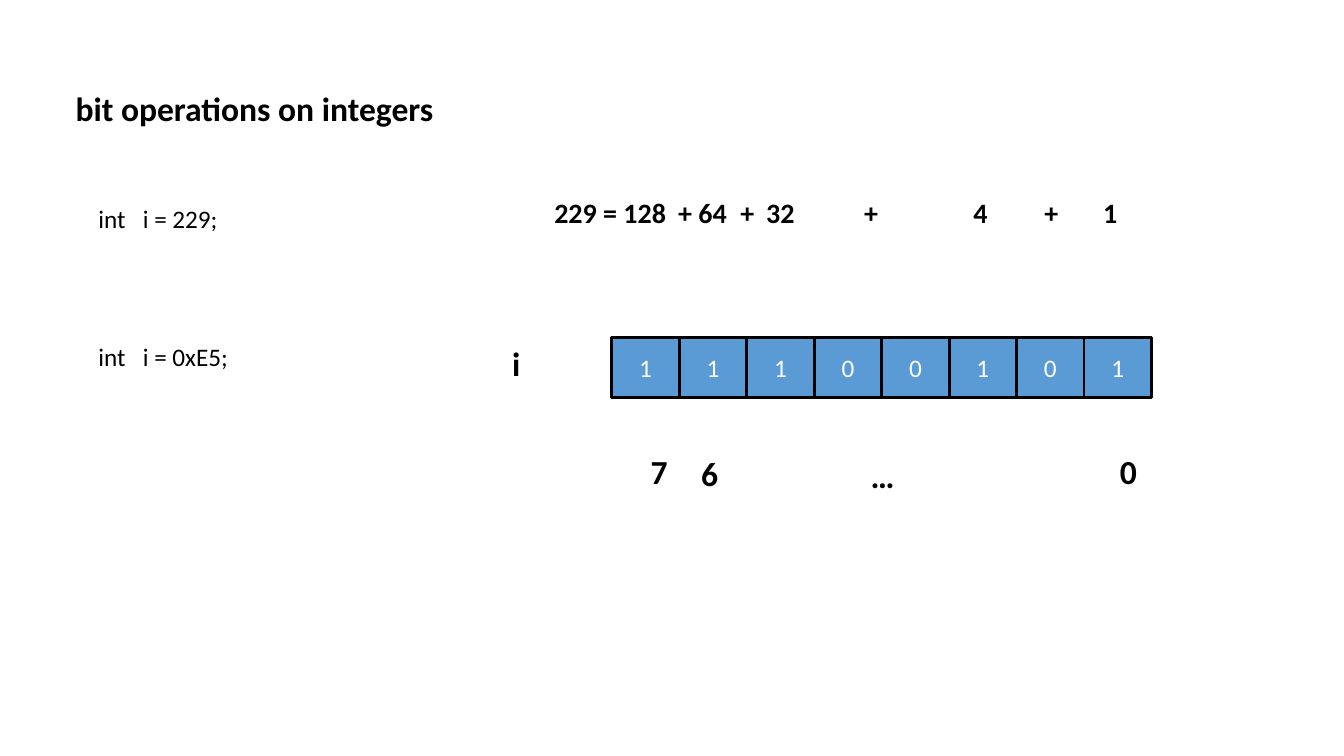
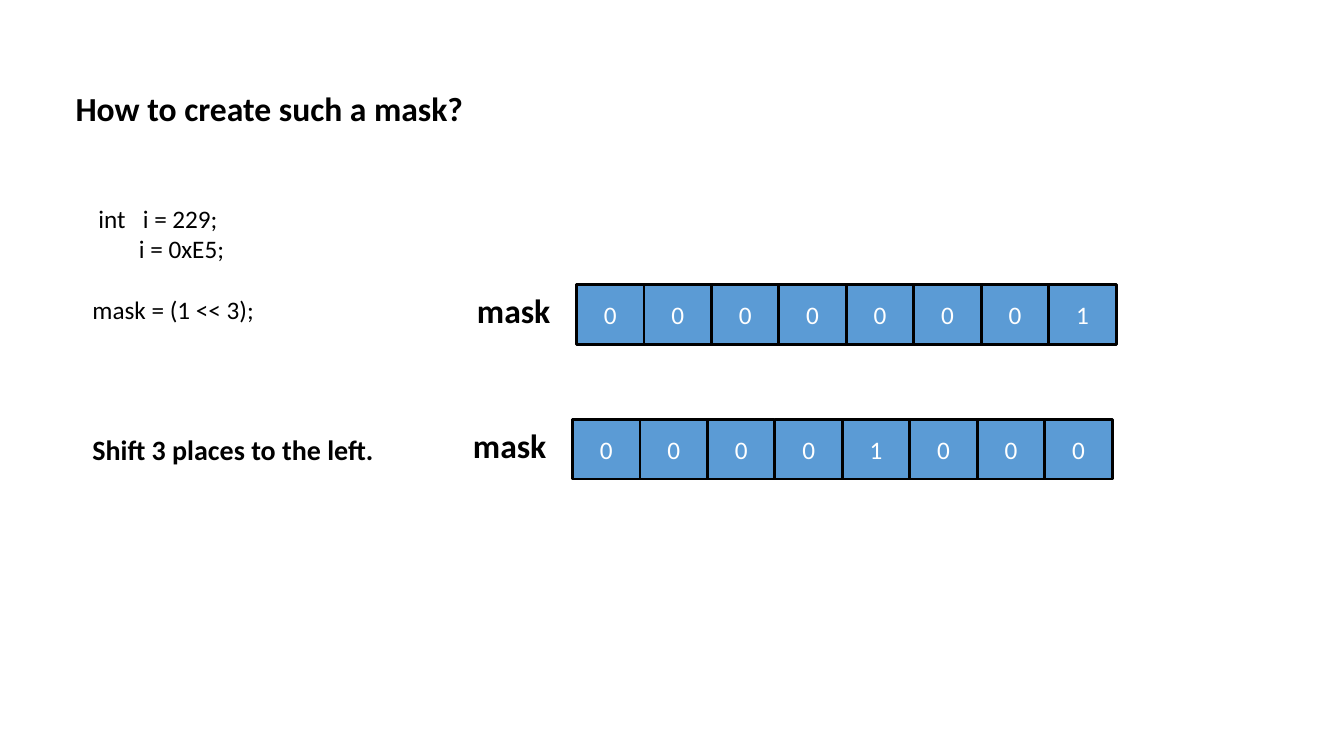
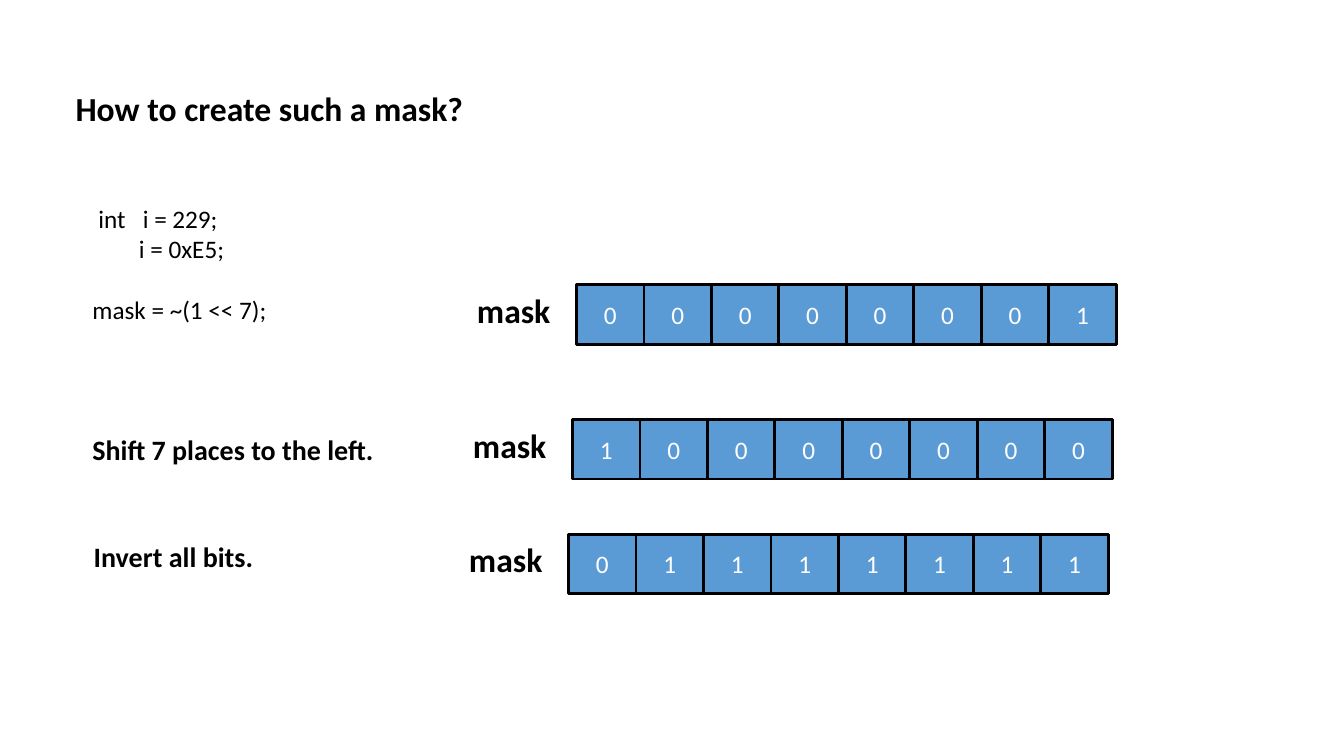
from dataclasses import dataclass

from lxml.etree import SubElement
from pptx import Presentation
from pptx.dml.color import RGBColor as RGB
from pptx.enum.shapes import MSO_SHAPE as Shape
from pptx.enum.text import MSO_ANCHOR as Anchor, MSO_AUTO_SIZE as Auto, PP_ALIGN as Align
from pptx.oxml.ns import qn
from pptx.util import Cm, Pt


@dataclass(frozen=True)
class Theme:
    font: str = "Calibri"
    ink: RGB = RGB(0, 0, 0)
    cell: RGB = RGB(0x5B, 0x9B, 0xD5)
    digit: RGB = RGB(255, 255, 255)
    head: int = 24
    note: int = 20
    code: int = 18
    edge: int = 2


THEME = Theme()

# Shared places, all in cm
TITLE = (1.65, 2.08, 23.75, 1.27)
CODE_X, CODE_Y, CODE_W, LINE_H = 2.08, 5, 6.32, 0.77
BIT_W, BIT_H, LABEL_GAP = 1.7, 1.5, 2.76
TAG_W, TAG_H = 1.04, 1.27
NOTE_W, NOTE_H = 8.66, 1.12
INT_TAB = 1.11
SUM_BOX = (13.72, 4.8, 14.81, 1.12)
SUM_TABS = (3.12, 4.69, 5.34, 7.81, 10.56, 12.35, 13.83)

# Code lines: text, first-line indent in cm, space before in points
DECIMAL = ("int\ti = 229;", 0.15, 0)
HEX_INT = ("int\ti = 0xE5;", 0.15, 0)
HEX = ("i = 0xE5;", 1.17, 0)

# Rows: label, label width, bits, left, top; notes and tags: text, left, top
START = ("mask", 2.41, "00000001", 14.53, 7.18)
SLIDES = [
    dict(title="bit operations on integers",
         code=[(CODE_Y, [DECIMAL]), (8.48, [HEX_INT])],
         sum="229 = 128\t+ 64\t+\t32\t+\t4\t+\t1",
         rows=[("i", TAG_W, "11100101", 15.42, 8.51)],
         tags=[("7", 16.15, 11.25), ("6", 17.42, 11.28),
               ("…", 21.69, 11.33), ("0", 27.97, 11.25)]),
    dict(title="How to create such a mask?",
         code=[(CODE_Y, [DECIMAL, HEX, ("mask = (1 << 3);", 0, 22)])],
         rows=[START, ("mask", 2.41, "00001000", 14.43, 10.57)],
         notes=[("Shift 3 places to the left.", 2.08, 10.77)]),
    dict(title="How to create such a mask?",
         code=[(CODE_Y, [DECIMAL, HEX, ("mask = ~(1 << 7);", 0, 22)])],
         rows=[START, ("mask", 2.41, "10000000", 14.43, 10.57),
               ("mask", 2.41, "01111111", 14.33, 13.46)],
         notes=[("Shift 7 places to the left.", 2.08, 10.77),
                ("Invert all bits.", 2.11, 13.46)]),
]


def style(para, size, bold=False, color=THEME.ink, align=Align.LEFT):
    font = para.font
    font.name, font.size, font.bold = THEME.font, Pt(size), bold
    font.color.rgb = color
    para.alignment = align


def set_tabs(para, stops):
    tabs = SubElement(para._p.get_or_add_pPr(), qn("a:tabLst"))
    for stop in stops:
        SubElement(tabs, qn("a:tab"), pos=str(Cm(stop)), algn="l")


def add_text(slide, text, box, size, bold=True):
    frame = slide.shapes.add_textbox(*map(Cm, box)).text_frame
    frame.word_wrap = True
    para = frame.paragraphs[0]
    para.text = text
    style(para, size, bold)
    return frame


def add_title(slide, text):
    title = slide.shapes.title
    title.left, title.top, title.width, title.height = map(Cm, TITLE)
    frame = title.text_frame
    frame.text = text
    frame.auto_size = Auto.NONE
    frame.vertical_anchor = Anchor.TOP
    style(frame.paragraphs[0], THEME.head, True)


def add_code(slide, top, lines):
    box = (CODE_X, top, CODE_W, LINE_H * (len(lines) + 1))
    frame = add_text(slide, lines[0][0], box, THEME.code, False)
    for text, _, gap in lines[1:]:
        para = frame.add_paragraph()
        para.text = text
        style(para, THEME.code)
        para.space_before = Pt(gap)
    for para, (text, indent, _) in zip(frame.paragraphs, lines):
        props = para._p.get_or_add_pPr()
        props.set("marL", "0")
        props.set("indent", str(Cm(indent)))
        if "\t" in text:
            set_tabs(para, [INT_TAB])


def add_row(slide, label, width, bits, left, top):
    add_text(slide, label, (left - LABEL_GAP, top, width, TAG_H), THEME.head)
    for i, bit in enumerate(bits):
        box = (left + i * BIT_W, top, BIT_W, BIT_H)
        cell = slide.shapes.add_shape(Shape.RECTANGLE, *map(Cm, box))
        cell.shadow.inherit = False
        cell.fill.solid()
        cell.fill.fore_color.rgb = THEME.cell
        cell.line.color.rgb = THEME.ink
        cell.line.width = Pt(THEME.edge)
        frame = cell.text_frame
        frame.text = bit
        frame.vertical_anchor = Anchor.MIDDLE
        style(frame.paragraphs[0], THEME.code, color=THEME.digit, align=Align.CENTER)


def main():
    deck = Presentation()
    deck.slide_width, deck.slide_height = Cm(33.87), Cm(19.05)
    for page in SLIDES:
        slide = deck.slides.add_slide(deck.slide_layouts[5])
        add_title(slide, page["title"])
        for top, lines in page["code"]:
            add_code(slide, top, lines)
        for row in page["rows"]:
            add_row(slide, *row)
        # Bit numbers, the sum and the step notes
        for text, left, top in page.get("tags", []):
            add_text(slide, text, (left, top, TAG_W, TAG_H), THEME.head)
        if "sum" in page:
            frame = add_text(slide, page["sum"], SUM_BOX, THEME.note)
            set_tabs(frame.paragraphs[0], SUM_TABS)
        for text, left, top in page.get("notes", []):
            add_text(slide, text, (left, top, NOTE_W, NOTE_H), THEME.note)
    deck.save("out.pptx")


if __name__ == "__main__":
    main()
